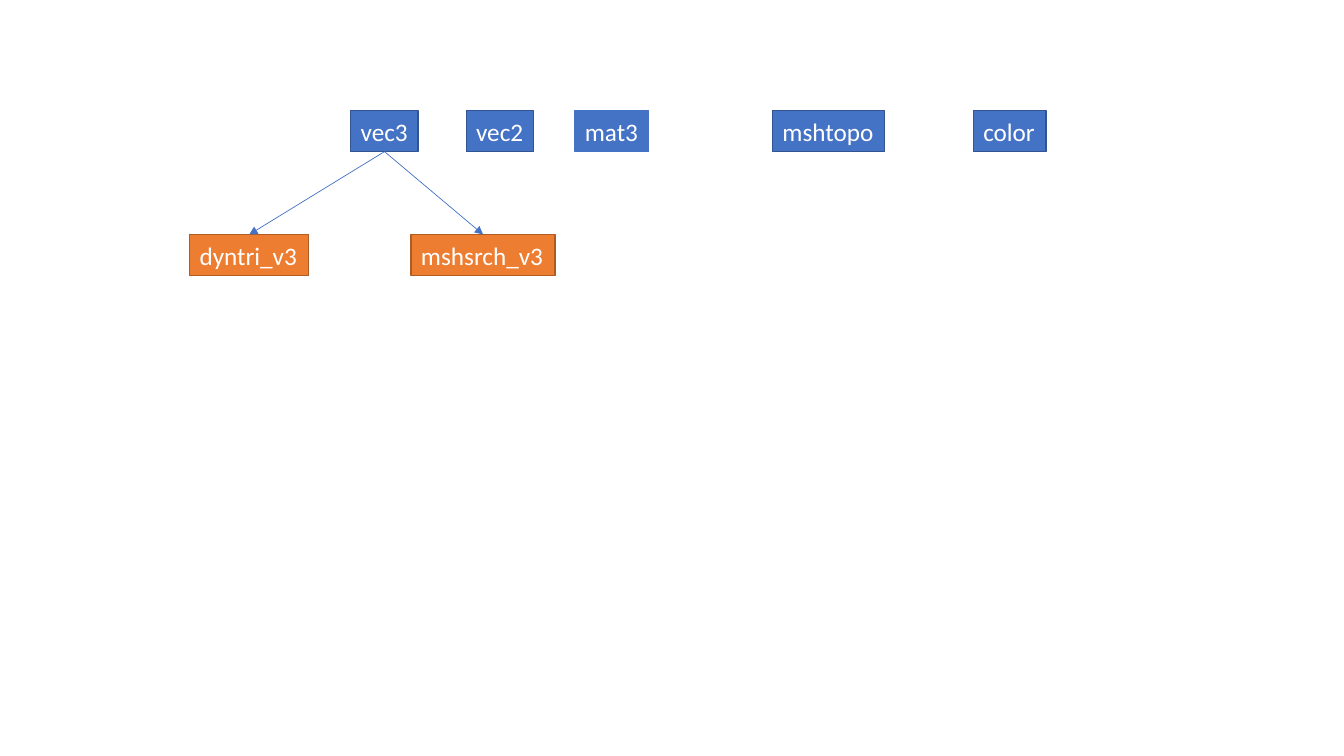
import dataclasses

import lxml.etree
import pptx
import pptx.dml.color
import pptx.enum.shapes
import pptx.enum.text
import pptx.oxml.ns
import pptx.util

Cm = pptx.util.Cm
Pt = pptx.util.Pt


@dataclasses.dataclass(frozen=True)
class Theme:
    font: str = "Calibri"
    text_size: float = 18
    text: str = "FFFFFF"
    blue: str = "4472C4"
    blue_edge: str = "325491"
    orange: str = "ED7D31"
    orange_edge: str = "AF5C24"
    box_line: float = 1
    arrow_line: float = 0.5


THEME = Theme()

# Layout in centimetres
BOX_HEIGHT = 1.03
BASE_TOP = 2.79
DERIVED_TOP = 5.91

# Label, left, width, edge colour
BASE_MODULES = [
    ("vec3", 8.84, 1.7, THEME.blue_edge),
    ("vec2", 11.75, 1.7, THEME.blue_edge),
    ("mat3", 14.49, 1.86, THEME.blue),
    ("mshtopo", 19.47, 2.82, THEME.blue_edge),
    ("color", 24.53, 1.83, THEME.blue_edge),
]
DERIVED_MODULES = [
    ("dyntri_v3", 4.78, 3.0, THEME.orange_edge),
    ("mshsrch_v3", 10.36, 3.63, THEME.orange_edge),
]
DEPENDENCIES = [("vec3", "dyntri_v3"), ("vec3", "mshsrch_v3")]


def rgb(value):
    return pptx.dml.color.RGBColor.from_string(value)


def add_module(page, label, left, top, width, fill, edge):
    """Draw a labelled box that fits its text."""
    box = page.shapes.add_shape(
        pptx.enum.shapes.MSO_SHAPE.RECTANGLE,
        Cm(left), Cm(top), Cm(width), Cm(BOX_HEIGHT))
    box.shadow.inherit = False
    box.fill.solid()
    box.fill.fore_color.rgb = rgb(fill)
    box.line.color.rgb = rgb(edge)
    box.line.width = Pt(THEME.box_line)

    frame = box.text_frame
    frame.word_wrap = False
    frame.auto_size = pptx.enum.text.MSO_AUTO_SIZE.SHAPE_TO_FIT_TEXT
    para = frame.paragraphs[0]
    para.text = label
    para.alignment = pptx.enum.text.PP_ALIGN.LEFT
    para.font.name = THEME.font
    para.font.size = Pt(THEME.text_size)
    para.font.color.rgb = rgb(THEME.text)
    return box


def add_row(page, modules, top, fill):
    """Draw one row of modules and return the boxes by label."""
    return {label: add_module(page, label, left, top, width, fill, edge)
            for label, left, width, edge in modules}


def add_arrow(page, source, target):
    """Link the bottom of one box to the top of another."""
    arrow = page.shapes.add_connector(
        pptx.enum.shapes.MSO_CONNECTOR.STRAIGHT,
        source.left + source.width // 2, source.top + source.height,
        target.left + target.width // 2, target.top)
    arrow.begin_connect(source, 2)
    arrow.end_connect(target, 0)
    arrow.line.color.rgb = rgb(THEME.blue)
    arrow.line.width = Pt(THEME.arrow_line)

    # Arrowhead, and no theme shadow
    qn = pptx.oxml.ns.qn
    properties = arrow._element.spPr
    lxml.etree.SubElement(
        properties.find(qn("a:ln")), qn("a:tailEnd"), type="triangle")
    lxml.etree.SubElement(properties, qn("a:effectLst"))


def main():
    deck = pptx.Presentation()
    deck.slide_width = Cm(33.87)
    deck.slide_height = Cm(19.05)
    page = deck.slides.add_slide(deck.slide_layouts[6])

    # Modules
    boxes = add_row(page, BASE_MODULES, BASE_TOP, THEME.blue)
    boxes.update(add_row(page, DERIVED_MODULES, DERIVED_TOP, THEME.orange))

    # Dependencies
    for source, target in DEPENDENCIES:
        add_arrow(page, boxes[source], boxes[target])

    deck.save("out.pptx")


main()
